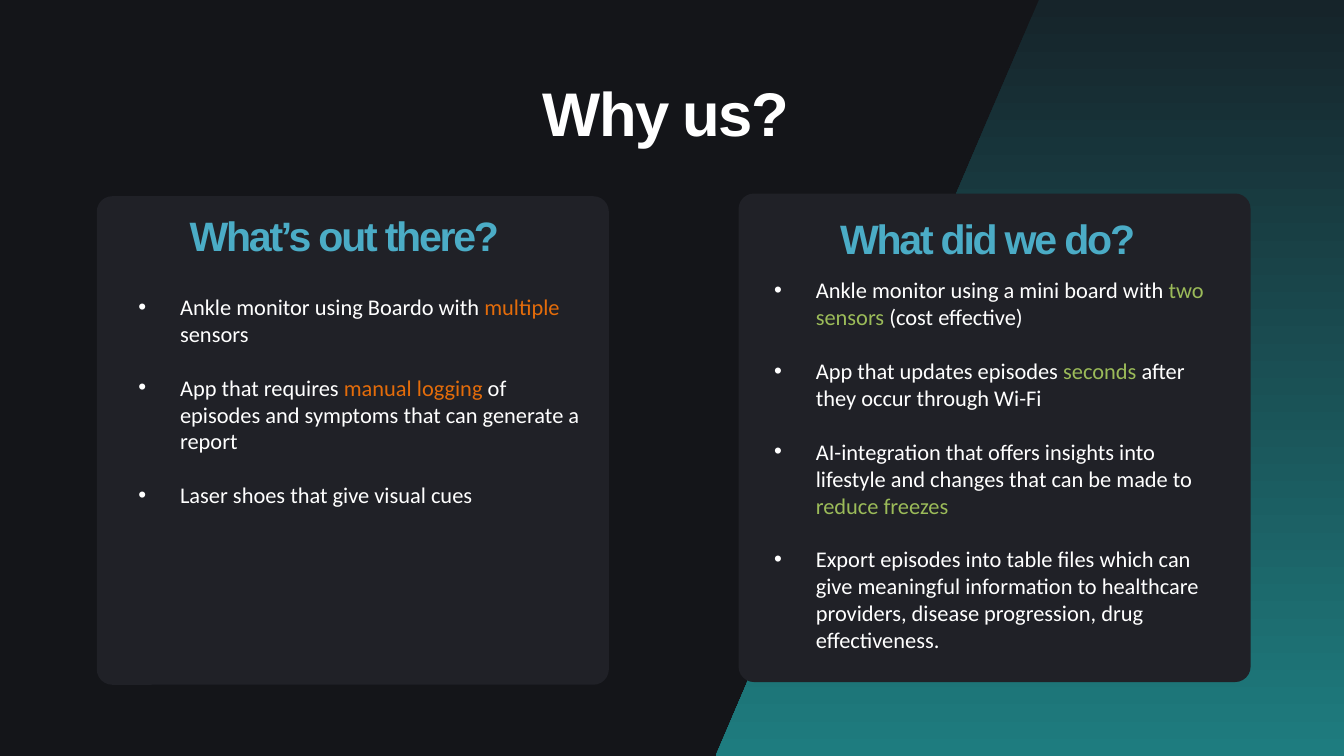
from pptx import Presentation
from pptx.dml.color import RGBColor
from pptx.enum.shapes import MSO_SHAPE
from pptx.enum.text import MSO_ANCHOR, MSO_AUTO_SIZE, PP_ALIGN
from pptx.util import Inches, Pt

ROUNDED = MSO_SHAPE.ROUNDED_RECTANGLE
LEFT, TOP, NO_FIT = PP_ALIGN.LEFT, MSO_ANCHOR.TOP, MSO_AUTO_SIZE.NONE

WIDTH, HEIGHT = 20, 11.25
COMPARISON_LAYOUT = 4
BACKGROUND, CARD, WHITE, BLUE = "141519", "202127", "FFFFFF", "4BACC6"
ORANGE, GREEN = "E46C0A", "9BBB59"
BAND_TOP, BAND_BOTTOM = "16242A", "1E7C7F"
BAND_POINTS = [(15.46, 0), (WIDTH, 0), (WIDTH, HEIGHT), (10.65, HEIGHT)]
CARD_SIZE = (7.62, 7.27)
CARD_RADIUS = 0.23
HEADING_SIZE = (6, 0.77)
LIST_WIDTH = 6.79
INDENT = 0.62

TITLE = "Why us?"
# Each bullet is a list of runs; a run marked True takes the panel's accent colour.
PANELS = [
    {
        "heading": "What’s out there?",
        "accent": ORANGE,
        "card": (1.44, 2.92), "heading_at": (2.82, 3.04), "list_at": (1.96, 4.31),
        "list_height": 4.34,
        "bullets": [
            [("Ankle monitor using Boardo with ", False), ("multiple", True),
             (" sensors", False)],
            [("App that requires ", False), ("manual logging ", True),
             ("of episodes and symptoms that can generate a report", False)],
            [("Laser shoes that give visual cues", False)],
        ],
    },
    {
        "heading": "What did we do?",
        "accent": GREEN,
        "card": (10.99, 2.88), "heading_at": (12.5, 3.08), "list_at": (11.42, 4.06),
        "list_height": 6,
        "bullets": [
            [("Ankle monitor using a mini board with ", False), ("two sensors", True),
             (" (cost effective)", False)],
            [("App that updates episodes ", False), ("seconds", True),
             (" after they occur through Wi-Fi", False)],
            [("AI-integration that offers insights into lifestyle and changes "
              "that can be made to ", False), ("reduce freezes", True)],
            [("Export episodes into table files which can give meaningful information "
              "to healthcare providers, disease progression, drug effectiveness.", False)],
        ],
    },
]


def color(value):
    return RGBColor.from_string(value)


def add_run(paragraph, text, font_name, size, value, bold=False):
    run = paragraph.add_run()
    run.text = text
    run.font.name, run.font.size, run.font.bold = font_name, Pt(size), bold
    run.font.color.rgb = color(value)
    return run


def place(placeholder, position, size, inset):
    """Move a placeholder in front of all shapes and return its text frame."""
    placeholder.left, placeholder.top = map(Inches, position)
    placeholder.width, placeholder.height = map(Inches, size)
    tree = placeholder.element.getparent()
    tree.append(placeholder.element)
    frame = placeholder.text_frame
    frame.auto_size, frame.vertical_anchor, frame.word_wrap = NO_FIT, TOP, True
    frame.margin_left = frame.margin_right = Inches(inset)
    frame.margin_top = frame.margin_bottom = Inches(inset / 2)
    return frame


def fill_heading(placeholder, text, position, size, points, value, line, tracking):
    paragraph = place(placeholder, position, size, 0).paragraphs[0]
    paragraph.alignment = LEFT
    paragraph.space_before = Pt(0)
    paragraph.line_spacing = Pt(line)
    run = add_run(paragraph, text, "Arial", points, value, True)
    run.font._element.set("spc", str(round(tracking * 100)))


def fill_list(placeholder, panel):
    size = (LIST_WIDTH, panel["list_height"])
    frame = place(placeholder, panel["list_at"], size, 0.1)
    for index, runs in enumerate(panel["bullets"]):
        paragraph = frame.add_paragraph() if index else frame.paragraphs[0]
        paragraph.space_before = Pt(0)
        paragraph.space_after = Pt(29)
        properties = paragraph._p.get_or_add_pPr()
        properties.set("marL", str(Inches(INDENT)))
        properties.set("indent", str(-Inches(INDENT)))
        for text, accented in runs:
            add_run(paragraph, text, "Calibri", 24, panel["accent"] if accented else WHITE)


def add_band(slide):
    points = [(Inches(x), Inches(y)) for x, y in BAND_POINTS]
    builder = slide.shapes.build_freeform(*points[0])
    builder.add_line_segments(points[1:], close=True)
    band = builder.convert_to_shape()
    band.shadow.inherit = False
    band.line.fill.background()
    band.fill.gradient()
    band.fill.gradient_angle = 270
    for stop, value in zip(band.fill.gradient_stops, (BAND_TOP, BAND_BOTTOM)):
        stop.color.rgb = color(value)


def add_card(slide, position):
    card = slide.shapes.add_shape(ROUNDED, *map(Inches, position + CARD_SIZE))
    card.adjustments[0] = CARD_RADIUS / min(CARD_SIZE)
    card.shadow.inherit = False
    card.fill.solid()
    card.fill.fore_color.rgb = color(CARD)
    card.line.fill.background()


def main():
    presentation = Presentation()
    presentation.slide_width, presentation.slide_height = Inches(WIDTH), Inches(HEIGHT)
    slide = presentation.slides.add_slide(presentation.slide_layouts[COMPARISON_LAYOUT])
    slide.background.fill.solid()
    slide.background.fill.fore_color.rgb = color(BACKGROUND)
    title, *bodies = slide.placeholders

    add_band(slide)
    fill_heading(title, TITLE, (8.08, 0.72), (3.83, 1.34), 66, WHITE, 107.2, -1.9)
    for panel, heading, body in zip(PANELS, bodies[::2], bodies[1::2]):
        add_card(slide, panel["card"])
        fill_heading(heading, panel["heading"], panel["heading_at"], HEADING_SIZE,
                     44, BLUE, 59.2, -2.4)
        fill_list(body, panel)
    presentation.save("out.pptx")


if __name__ == "__main__":
    main()
